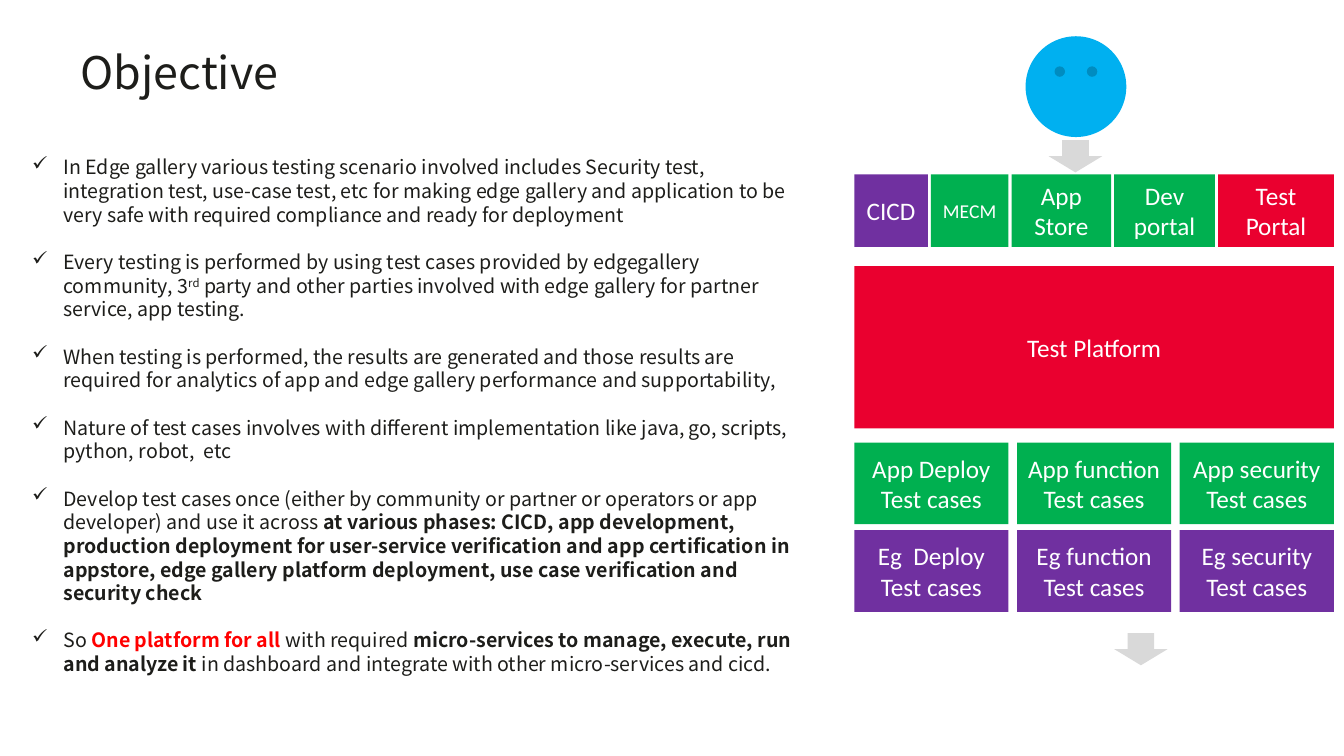
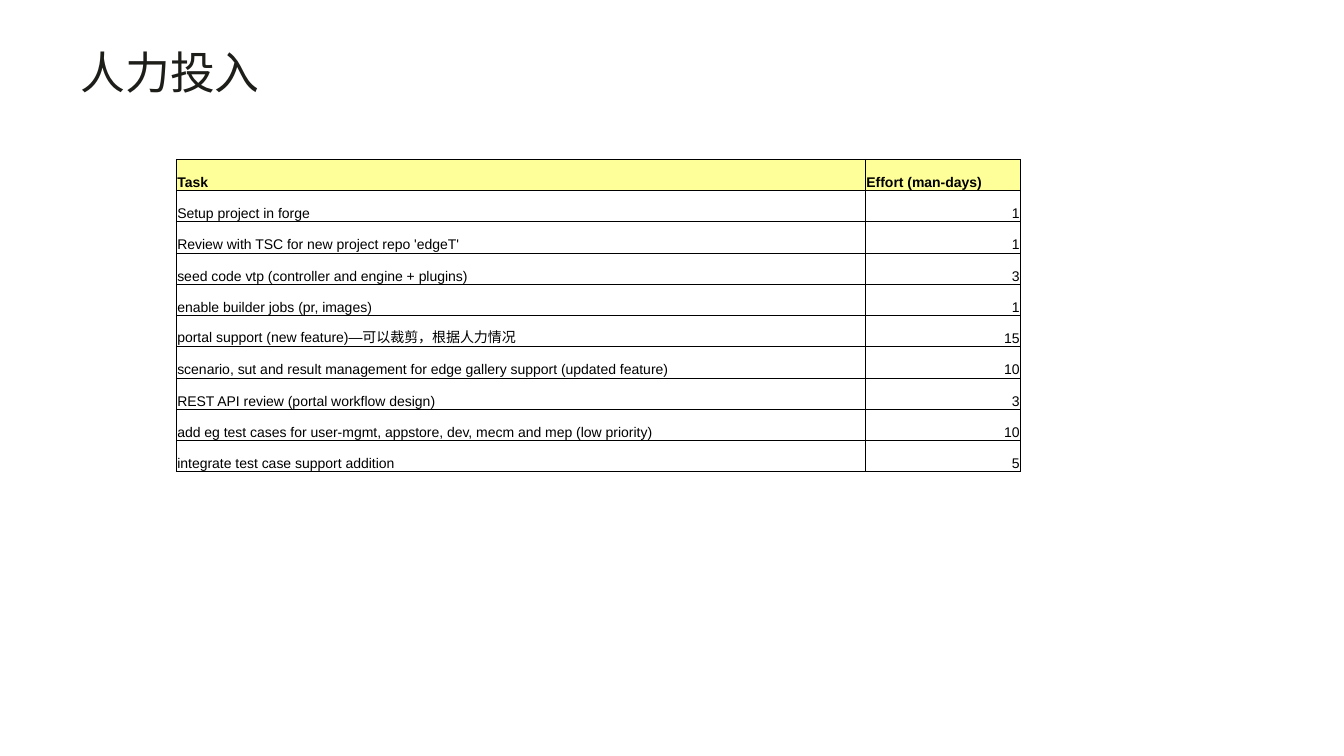
"""Build the test platform objective slide and the effort estimate slide."""
from dataclasses import dataclass

from lxml.etree import SubElement
from pptx import Presentation
from pptx.dml.color import RGBColor as RGB
from pptx.enum.shapes import MSO_SHAPE as SHAPE
from pptx.enum.text import MSO_ANCHOR as ANCHOR, MSO_AUTO_SIZE as AUTO_SIZE, PP_ALIGN as ALIGN
from pptx.oxml.ns import qn
from pptx.util import Inches, Pt


@dataclass(frozen=True)
class Theme:
    ink: RGB = RGB.from_string("1D1D1A")
    black: RGB = RGB.from_string("000000")
    white: RGB = RGB.from_string("FFFFFF")
    alert: RGB = RGB.from_string("FF0000")
    red: RGB = RGB.from_string("EA002F")
    green: RGB = RGB.from_string("00B050")
    purple: RGB = RGB.from_string("7030A0")
    blue: RGB = RGB.from_string("00B0F0")
    grey: RGB = RGB.from_string("D9D9D9")
    header: RGB = RGB.from_string("FFFF99")
    text_font: str = "Noto Sans CJK SC"
    block_font: str = "Calibri"
    table_font: str = "Arial"
    title_size: Pt = Pt(32)
    title_line: Pt = Pt(34.3)
    block_size: Pt = Pt(18)
    body_size: Pt = Pt(14)
    body_line: Pt = Pt(16.9)
    table_size: Pt = Pt(10)
    border: Pt = Pt(0.5)


theme = Theme()
deck = Presentation()
deck.slide_width, deck.slide_height = Inches(13.34), Inches(7.5)


def add_titled_slide(heading):
    slide = deck.slides.add_slide(deck.slide_layouts[5])
    title = slide.shapes.title
    title.left, title.top, title.width, title.height = map(Inches, (0.8, 0.5, 11.75, 1.09))
    frame = title.text_frame
    frame.text = heading
    frame.auto_size = AUTO_SIZE.NONE
    frame.vertical_anchor = ANCHOR.TOP
    frame.margin_left = frame.margin_top = frame.margin_right = frame.margin_bottom = 0
    line = frame.paragraphs[0]
    line.alignment = ALIGN.LEFT
    line.line_spacing = theme.title_line
    line.font.name, line.font.size = theme.text_font, theme.title_size
    line.font.color.rgb = theme.ink
    return slide


def add_block(slide, kind, box, color, label="", size=theme.block_size):
    block = slide.shapes.add_shape(kind, *map(Inches, box))
    block.shadow.inherit = False
    block.fill.solid()
    block.fill.fore_color.rgb = color
    block.line.fill.background()
    if label:
        block.text_frame.text = label
        block.text_frame.vertical_anchor = ANCHOR.MIDDLE
        for line in block.text_frame.paragraphs:
            line.alignment = ALIGN.CENTER
            line.font.name, line.font.size = theme.block_font, size
            line.font.color.rgb = theme.white


objective = add_titled_slide("Objective")

goals = [
    [("In Edge gallery various testing scenario involved includes Security test, integration test, "
      "use-case test, etc for making edge gallery and application to be very safe with required "
      "compliance and ready for deployment", "")],
    [("Every testing is performed by using test cases provided by edgegallery community, 3", ""),
     ("rd", "super"),
     (" party and other parties involved with edge gallery for partner service, app testing.", "")],
    [("When testing is performed, the results are generated and those results are required for "
      "analytics of app and edge gallery performance and supportability,", "")],
    [("Nature of test cases involves with different implementation like java, go, scripts, python, "
      "robot,  etc", "")],
    [("Develop test cases once (either by community or partner or operators or app developer) and "
      "use it across ", ""),
     ("at various phases: CICD, app development, production deployment for user-service "
      "verification and app certification in appstore, edge gallery platform deployment, use case "
      "verification and security check", "bold")],
    [("So ", ""), ("One platform for all ", "alert"), ("with required", ""),
     (" micro-services to manage, execute, run and analyze it", "bold"),
     (" in dashboard and integrate with other micro-services and cicd.", "")],
]
goal_frame = objective.shapes.add_textbox(*map(Inches, (0.3, 1.54, 7.7, 5.13))).text_frame
goal_frame.word_wrap = True
goal_frame.margin_left = goal_frame.margin_top = 0
goal_frame.margin_right = goal_frame.margin_bottom = 0
for index, goal in enumerate(goals):
    line = goal_frame.add_paragraph() if index else goal_frame.paragraphs[0]
    properties = line._p.get_or_add_pPr()
    properties.set("marL", str(Inches(0.33)))
    properties.set("indent", str(Inches(-0.31)))
    SubElement(properties, qn("a:buChar")).set("char", "✓")
    line.line_spacing = theme.body_line
    if index:
        line.space_before = theme.body_line
    line.font.name, line.font.size = theme.text_font, theme.body_size
    line.font.color.rgb = theme.ink
    for words, style in goal:
        run = line.add_run()
        run.text = words
        if style in ("bold", "alert"):
            run.font.bold = True
        if style == "alert":
            run.font.color.rgb = theme.alert
        if style == "super":
            run._r.get_or_add_rPr().set("baseline", "30000")

stack_left, stack_width = 8.48, 4.76
add_block(objective, SHAPE.SMILEY_FACE, (10.18, 0.36, 1, 1), theme.blue)
for arrow_left, arrow_top in ((10.41, 1.39), (11.06, 6.28)):
    add_block(objective, SHAPE.DOWN_ARROW, (arrow_left, arrow_top, 0.53, 0.32), theme.grey)

portal_left, portal_gap = stack_left, 0.03
for label, width, color, size in (
    ("CICD", 0.73, theme.purple, theme.block_size),
    ("MECM", 0.77, theme.green, theme.body_size),
    ("App Store", 0.99, theme.green, theme.block_size),
    ("Dev\nportal", 1, theme.green, theme.block_size),
    ("Test Portal", 1.15, theme.red, theme.block_size),
):
    add_block(objective, SHAPE.RECTANGLE, (portal_left, 1.73, width, 0.72), color, label, size)
    portal_left += width + portal_gap

add_block(objective, SHAPE.RECTANGLE, (stack_left, 2.64, stack_width, 1.61), theme.red,
          "Test Platform")

case_width, case_height = 1.53, 0.81
case_pitch = (stack_width - case_width) / 2
for row, (color, subjects) in enumerate((
    (theme.green, ("App Deploy", "App function", "App security")),
    (theme.purple, ("Eg  Deploy", "Eg function", "Eg security")),
)):
    for column, subject in enumerate(subjects):
        box = (stack_left + column * case_pitch, 4.39 + row * 0.87, case_width, case_height)
        add_block(objective, SHAPE.RECTANGLE, box, color, f"{subject}\nTest cases")

effort = add_titled_slide("人力投入")
tasks = [
    ("Task", "Effort (man-days)"),
    ("Setup project in forge", "1"),
    ("Review with TSC for new project repo 'edgeT'", "1"),
    ("seed code vtp (controller and engine + plugins)", "3"),
    ("enable builder jobs (pr, images)", "1"),
    ("portal support (new feature)—可以裁剪，根据人力情况", "15"),
    ("scenario, sut and result management for edge gallery support (updated feature)", "10"),
    ("REST API review (portal workflow design)", "3"),
    ("add eg test cases for user-mgmt, appstore, dev, mecm and mep (low priority)", "10"),
    ("integrate test case support addition", "5"),
]
row_height = 0.31
plan = effort.shapes.add_table(len(tasks), 2, Inches(1.75), Inches(1.58), Inches(8.38),
                               Inches(row_height * len(tasks))).table
plan.first_row = plan.horz_banding = False
plan.columns[0].width, plan.columns[1].width = Inches(6.84), Inches(1.54)
for row, task in enumerate(tasks):
    plan.rows[row].height = Inches(row_height)
    for column, words in enumerate(task):
        cell = plan.cell(row, column)
        cell.text = words
        cell.vertical_anchor = ANCHOR.BOTTOM
        cell.margin_left = cell.margin_top = cell.margin_right = Inches(0.01)
        cell.margin_bottom = 0
        for side in ("a:lnL", "a:lnR", "a:lnT", "a:lnB"):
            edge = SubElement(cell._tc.get_or_add_tcPr(), qn(side), w=str(theme.border))
            SubElement(SubElement(edge, qn("a:solidFill")), qn("a:srgbClr"), val=str(theme.black))
        if row == 0:
            cell.fill.solid()
            cell.fill.fore_color.rgb = theme.header
        else:
            cell.fill.background()
        line = cell.text_frame.paragraphs[0]
        line.alignment = ALIGN.RIGHT if row and column else ALIGN.LEFT
        line.font.name, line.font.size = theme.table_font, theme.table_size
        line.font.bold = row == 0
        line.font.color.rgb = theme.black

deck.save("out.pptx")
